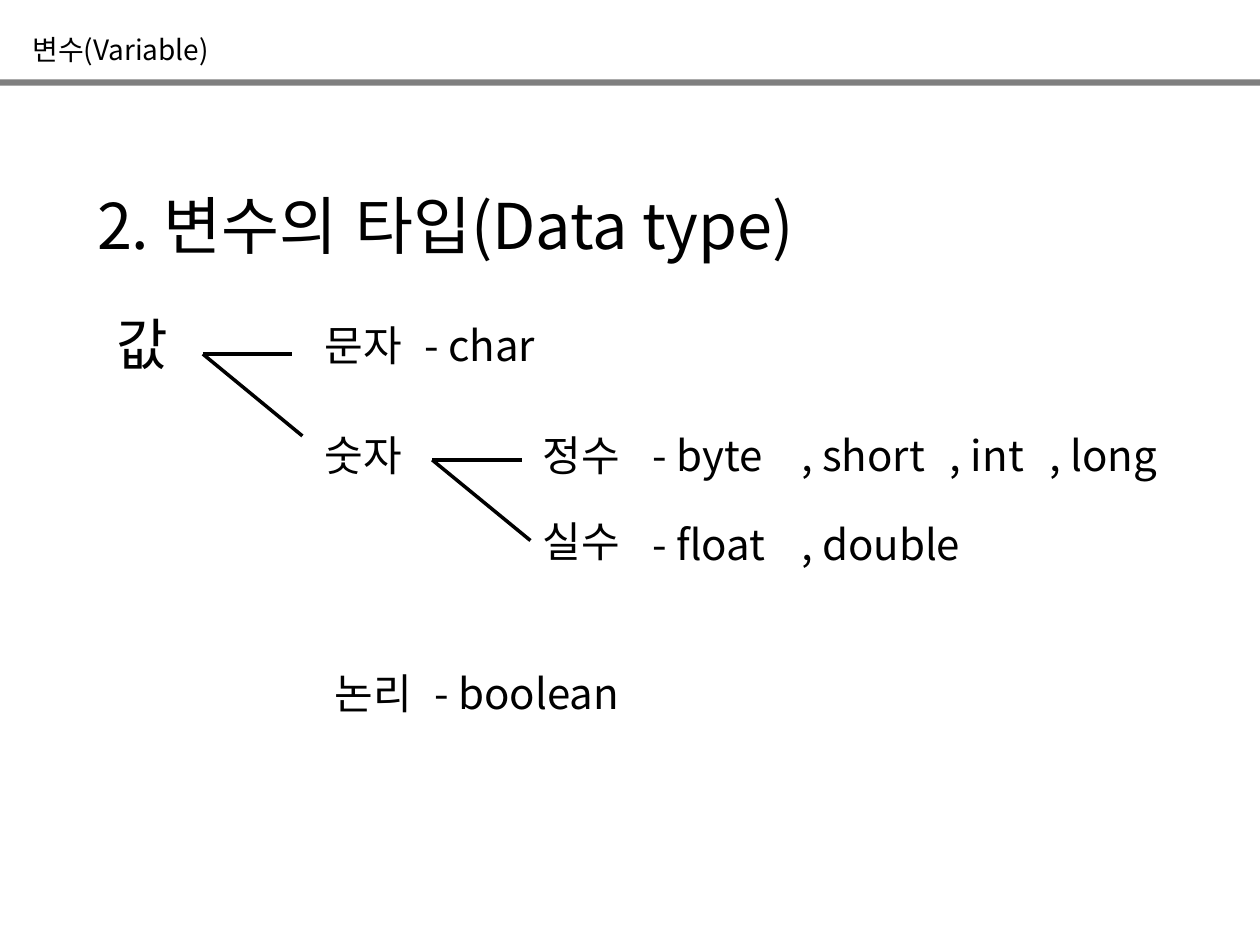
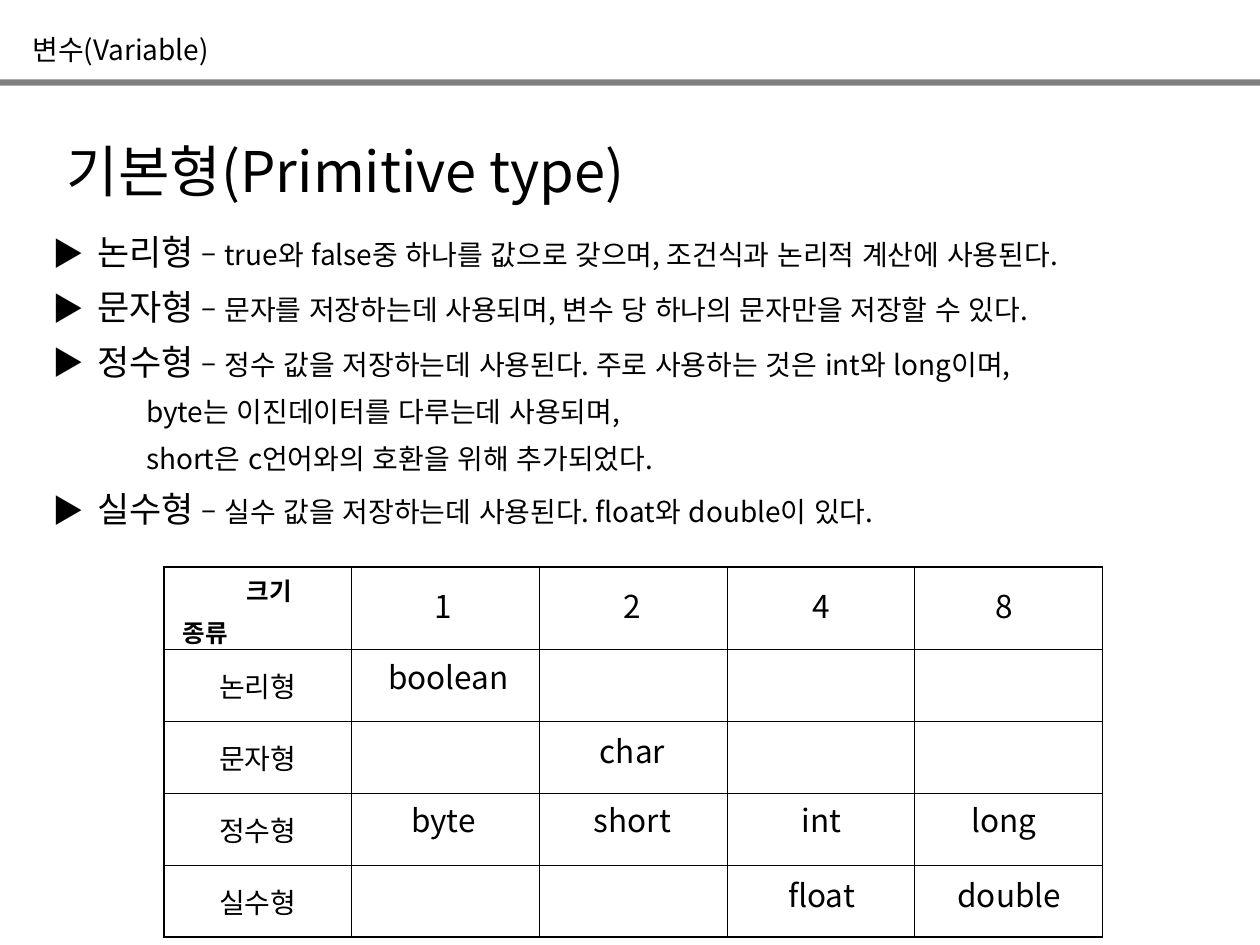
from lxml.etree import SubElement
from pptx import Presentation
from pptx.dml.color import RGBColor
from pptx.enum.lang import MSO_LANGUAGE_ID
from pptx.enum.shapes import MSO_CONNECTOR, MSO_SHAPE
from pptx.enum.text import MSO_ANCHOR, MSO_AUTO_SIZE, PP_ALIGN
from pptx.oxml import parse_xml
from pptx.oxml.ns import nsdecls, qn
from pptx.util import Inches, Pt

FONT = "Noto Sans CJK KR"
BLACK, GRAY = "000000", "7F7F7F"
CHAPTER = "변수(Variable)"
TITLE_ONLY, TITLE_AND_BODY = 5, 1

TYPES_TITLE = "2. 변수의 타입(Data type)"
ROOT = ("값", 0.83, 2.41)
# top, then (text, left, width) for every label on that row
LABEL_ROWS = [
    (2.49, [("문자", 2.48, 0.94), ("- char", 3.27, 1.34)]),
    (3.36, [("숫자", 2.48, 0.94), ("정수", 4.21, 0.94), ("- byte", 5.08, 1.34),
            (", short", 6.26, 1.57), (", int", 7.44, 1.02), (", long", 8.23, 1.18)]),
    (4.04, [("실수", 4.21, 0.94)]),
    (4.07, [("- float", 5.08, 1.34), (", double", 6.26, 1.57)]),
    (5.25, [("논리", 2.56, 0.94), ("- boolean", 3.35, 1.97)]),
]
# start point, label joined by the lower branch
FORKS = [(1.61, 2.81, None), (3.43, 3.65, "실수")]
BRANCHES = [(0.71, 0), (0.79, 0.65)]

PRIMITIVE_TITLE = "기본형(Primitive type)"
# term (None for a continued line), description
DESCRIPTIONS = [
    ("논리형", "true와 false중 하나를 값으로 갖으며, 조건식과 논리적 계산에 사용된다."),
    ("문자형", "문자를 저장하는데 사용되며, 변수 당 하나의 문자만을 저장할 수 있다."),
    ("정수형", "정수 값을 저장하는데 사용된다. 주로 사용하는 것은 int와 long이며,"),
    (None, "byte는 이진데이터를 다루는데 사용되며,"),
    (None, "short은 c언어와의 호환을 위해 추가되었다."),
    ("실수형", "실수 값을 저장하는데 사용된다. float와 double이 있다."),
]
CORNER = [("크기", 0.56), ("종류", 0.05)]
KINDS = ["논리형", "문자형", "정수형", "실수형"]
COLUMN_WIDTH, HEADER_HEIGHT, ROW_HEIGHT = 1.49, 0.62, 0.57
OUTER_LINE, INNER_LINE = 1.08, 0.45
# top, then the entry for each size column
ENTRY_LEFTS = [2.91, 4.41, 5.91, 7.38]
ENTRY_ROWS = [
    (4.61, ["1", "2", "4", "8"]),
    (5.17, ["boolean", None, None, None]),
    (5.76, [None, "char", None, None]),
    (6.31, ["byte", "short", "int", "long"]),
    (6.9, [None, None, "float", "double"]),
]
ENTRY_SHIFTS = {"boolean": 0.04, "8": -0.02, "long": -0.02, "double": 0.02}


def rgb(color):
    return RGBColor.from_string(color)


def write(paragraph, text, size=24, bold=False, align=PP_ALIGN.LEFT, before=0):
    """Append one formatted run to the paragraph."""
    paragraph.alignment = align
    paragraph.space_before = Pt(before)
    run = paragraph.add_run()
    run.text = text
    run.font.size, run.font.bold, run.font.name = Pt(size), bold, FONT
    run.font.language_id = MSO_LANGUAGE_ID.KOREAN
    run.font.color.rgb = rgb(BLACK)
    SubElement(run.font._element, qn("a:ea")).set("typeface", FONT)


def place(shape, left, top, width, height):
    """Move a text shape and make its frame plain; return the frame."""
    shape.left, shape.top = Inches(left), Inches(top)
    shape.width, shape.height = Inches(width), Inches(height)
    frame = shape.text_frame
    frame.word_wrap = True
    frame.auto_size = MSO_AUTO_SIZE.NONE
    frame.vertical_anchor = MSO_ANCHOR.TOP
    return frame


def add_label(slide, text, left, top, width, height=0.5, **style):
    label = slide.shapes.add_textbox(0, 0, 0, 0)
    write(place(label, left, top, width, height).paragraphs[0], text, **style)
    return label


def add_slide(deck, layout, title, box, size):
    slide = deck.slides.add_slide(deck.slide_layouts[layout])
    band = slide.shapes.add_shape(MSO_SHAPE.RECTANGLE, 0, Inches(0.63),
                                  deck.slide_width, Inches(0.05))
    band.shadow.inherit = False
    band.fill.solid()
    band.fill.fore_color.rgb = rgb(GRAY)
    band.line.fill.background()
    add_label(slide, CHAPTER, 0.16, 0.21, 3.19, 0.37, size=16)
    write(place(slide.shapes.title, *box).paragraphs[0], title, size=size)
    return slide


def add_fork(slide, left, top, joined):
    for across, down in BRANCHES:
        branch = slide.shapes.add_connector(
            MSO_CONNECTOR.STRAIGHT, Inches(left), Inches(top),
            Inches(left + across), Inches(top + down))
        branch.line.color.rgb = rgb(BLACK)
        branch.line.width = Pt(2)
        SubElement(branch._element.spPr, qn("a:effectLst"))
        if joined is not None and down:
            branch.end_connect(joined, 1)


def set_bullet(paragraph, term):
    properties = paragraph._p.get_or_add_pPr()
    properties.set("marL", str(Inches(0.35 if term else 0.74)))
    properties.set("indent", str(Inches(-0.35 if term else 0)))
    if term:
        SubElement(properties, qn("a:buSzPct")).set("val", "90000")
        SubElement(properties, qn("a:buFont")).set("typeface", FONT)
        SubElement(properties, qn("a:buChar")).set("char", "▶")
    else:
        SubElement(properties, qn("a:buNone"))


def add_descriptions(body):
    frame = place(body, 0.32, 1.78, 9.29, 2.6)
    for index, (term, description) in enumerate(DESCRIPTIONS):
        line = frame.add_paragraph() if index else frame.paragraphs[0]
        before = 7.3 if index else 0
        if term:
            write(line, term, size=20, before=before)
            description = " – " + description
        write(line, description, size=16, before=before)
        set_bullet(line, term)


def set_borders(cell, outer):
    """Draw the four cell sides, thicker on those named in outer."""
    properties = cell._tc.get_or_add_tcPr()
    for index, side in enumerate("LRTB"):
        width = Pt(OUTER_LINE if side in outer else INNER_LINE)
        properties.insert(index, parse_xml(
            f'<a:ln{side} {nsdecls("a")} w="{width}"><a:solidFill>'
            f'<a:srgbClr val="{BLACK}"/></a:solidFill></a:ln{side}>'))


def write_corner(cell):
    cell.margin_top, cell.margin_bottom = Inches(0.04), 0
    cell.vertical_anchor = MSO_ANCHOR.TOP
    for index, (text, indent) in enumerate(CORNER):
        line = cell.text_frame.add_paragraph() if index else cell.text_frame.paragraphs[0]
        write(line, text, size=14, bold=True, before=3.5 * index)
        line._p.get_or_add_pPr().set("marL", str(Inches(indent)))


def add_size_table(slide):
    last_row, last_column = len(KINDS), len(ENTRY_LEFTS)
    table = slide.shapes.add_table(
        last_row + 1, last_column + 1, Inches(1.3), Inches(4.5),
        Inches(COLUMN_WIDTH * (last_column + 1)),
        Inches(HEADER_HEIGHT + ROW_HEIGHT * last_row)).table
    table.first_row = table.horz_banding = False
    for column in table.columns:
        column.width = Inches(COLUMN_WIDTH)
    for r, row in enumerate(table.rows):
        row.height = Inches(ROW_HEIGHT if r else HEADER_HEIGHT)
        for c, cell in enumerate(row.cells):
            cell.fill.background()
            cell.vertical_anchor = MSO_ANCHOR.MIDDLE
            edges = {"L": c == 0, "R": c == last_column, "T": r == 0, "B": r == last_row}
            set_borders(cell, [side for side, is_outer in edges.items() if is_outer])
    write_corner(table.cell(0, 0))
    for r, kind in enumerate(KINDS, start=1):
        write(table.cell(r, 0).text_frame.paragraphs[0], kind,
              size=16, align=PP_ALIGN.CENTER)


def add_entries(slide):
    for top, entries in ENTRY_ROWS:
        for left, entry in zip(ENTRY_LEFTS, entries):
            if entry:
                add_label(slide, entry, left + ENTRY_SHIFTS.get(entry, 0), top,
                          1.22, 0.4, size=18, align=PP_ALIGN.CENTER)


def build_types_slide(deck):
    slide = add_slide(deck, TITLE_ONLY, TYPES_TITLE, (0.67, 1.43, 8.11, 0.7), 36)
    add_label(slide, *ROOT, 0.75, 0.64, size=32)
    labels = {text: add_label(slide, text, left, top, width)
              for top, row in LABEL_ROWS for text, left, width in row}
    for left, top, target in FORKS:
        add_fork(slide, left, top, labels.get(target))


def build_primitive_slide(deck):
    slide = add_slide(deck, TITLE_AND_BODY, PRIMITIVE_TITLE, (0.43, 1.03, 5.12, 0.64), 32)
    add_descriptions(slide.placeholders[1])
    add_size_table(slide)
    add_entries(slide)


def main():
    deck = Presentation()
    deck.slide_width, deck.slide_height = Inches(10), Inches(7.5)
    build_types_slide(deck)
    build_primitive_slide(deck)
    deck.save("out.pptx")


if __name__ == "__main__":
    main()
